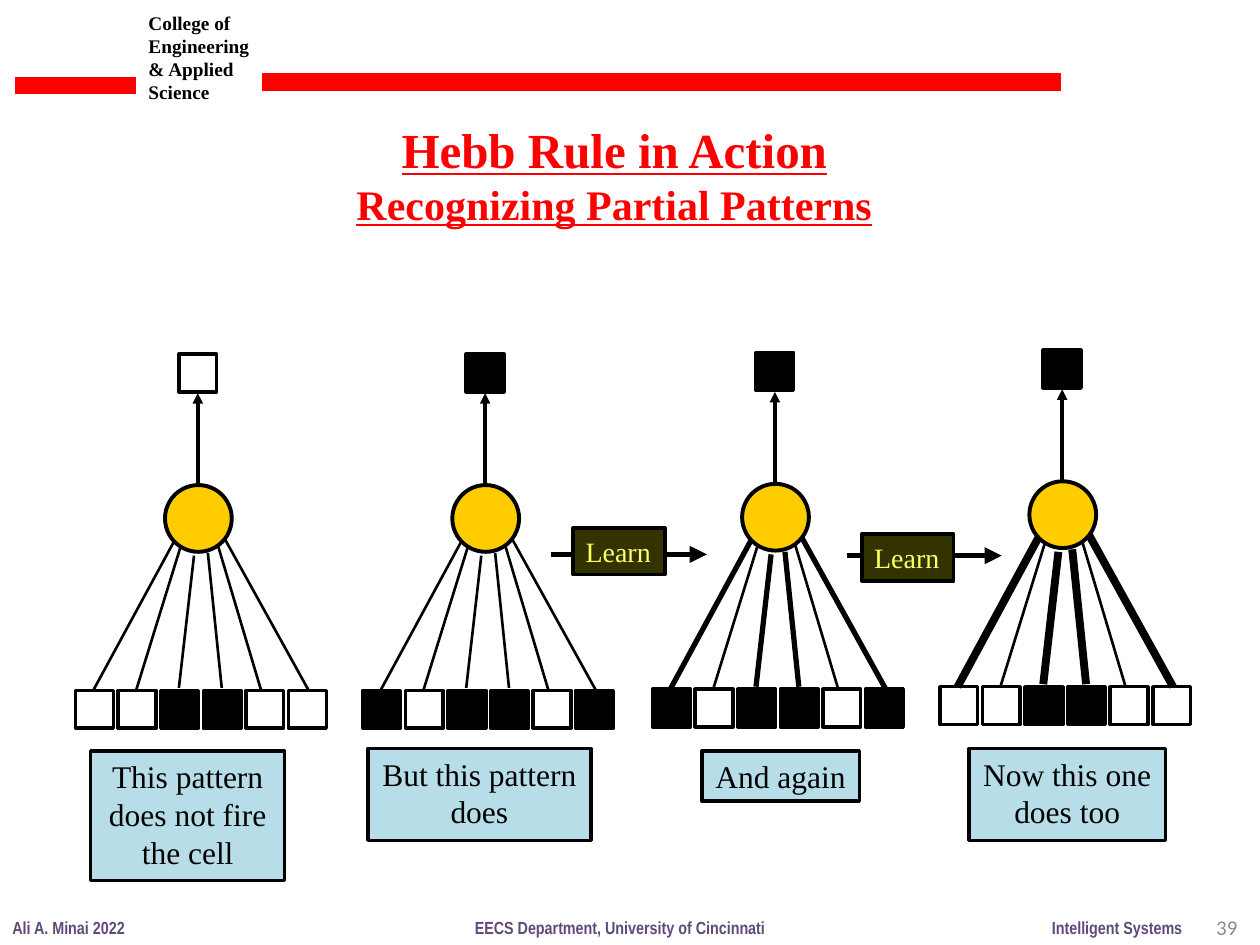
from lxml import etree
from pptx import Presentation
from pptx.dml.color import RGBColor
from pptx.enum.shapes import MSO_CONNECTOR, MSO_SHAPE
from pptx.enum.text import MSO_ANCHOR, PP_ALIGN
from pptx.oxml.ns import qn
from pptx.util import Pt

RECT, OVAL = MSO_SHAPE.RECTANGLE, MSO_SHAPE.OVAL
STRAIGHT = MSO_CONNECTOR.STRAIGHT
LEFT, CENTER, RIGHT = PP_ALIGN.LEFT, PP_ALIGN.CENTER, PP_ALIGN.RIGHT
TOP, MIDDLE = MSO_ANCHOR.TOP, MSO_ANCHOR.MIDDLE

PX = 9144  # 100 px to the inch
SERIF, NARROW, SANS = "Times New Roman", "Arial Narrow", "Calibri"
BLACK, RED, PURPLE, GREY = "000000", "FF0000", "604A7B", "8C8C8C"
GOLD, OLIVE, YELLOW, SKY = "FFCC00", "333300", "FFFF66", "B7DEE8"

# Content
COLLEGE = ["College of Engineering & Applied", "Science"]
TITLE = [("Hebb Rule in Action", 28), ("Recognizing Partial Patterns", 24)]
RED_BARS = [(12, 108, 68), (208, 842, 65)]  # left, right, y
FOOTERS = [
    ("Ali A. Minai 2022", 0, 110),
    ("EECS Department, University of Cincinnati", 367, 252),
    ("Intelligent Systems", 825, 124),
]
PAGE_NUMBER = "39"
# cell left and top, active inputs, cell fires, strengthened inputs and their width
NEURONS = [
    (131, 385, "001100", False, "000000", 1.5),
    (359, 385, "101101", True, "000000", 1.5),
    (589, 384, "101101", True, "101101", 3),
    (817, 382, "001100", True, "101101", 4.5),
]
CAPTIONS = [
    (["This pattern", "does not fire", "the cell"], 72, 596, 154, 103),
    (["But this pattern", "does"], 292, 594, 177, 73),
    (["And again"], 557, 596, 125, 40),
    (["Now this one", "does too"], 769, 594, 156, 73),
]
# arrow left, right and y, then label left and top
LEARNING = [(437, 561, 440, 455, 419), (672, 795, 441, 684, 424)]

# Neuron geometry, measured from the cell's corner
CELL, SQUARE = 53, 30
INPUT_LEFT, INPUT_STEP, INPUT_TOP = -71, 33.8, 163
OUTPUT_LEFT, OUTPUT_TOP = 11, -104
SYNAPSES = [  # input end, cell end
    ((-57, 163), (7, 45)), ((-23, 163), (12, 50)), ((11, 161), (23, 56)),
    ((45, 161), (34, 54)), ((76, 162), (42, 48)), ((114, 163), (47, 42)),
]


def color(value):
    return RGBColor.from_string(value)


def emu(*lengths):
    return [round(length * PX) for length in lengths]


def write(box, lines, size, font, ink, bold=False, align=LEFT, anchor=TOP, wrap=False):
    frame = box.text_frame
    frame.text = "\n".join(lines)
    frame.word_wrap = wrap
    frame.vertical_anchor = anchor
    for para in frame.paragraphs:
        para.alignment = align
        for span in para.runs:
            span.font.size = Pt(size)
            span.font.name = font
            span.font.bold = bold
            span.font.color.rgb = color(ink)


def add_text(page, place, lines, *style, **options):
    box = page.shapes.add_textbox(*emu(*place))
    write(box, lines, *style, **options)
    return box


def add_box(page, kind, place, fill, width=2):
    box = page.shapes.add_shape(kind, *emu(*place))
    box.shadow.inherit = False
    if fill:
        box.fill.solid()
        box.fill.fore_color.rgb = color(fill)
    else:
        box.fill.background()
    box.line.color.rgb = color(BLACK)
    box.line.width = Pt(width)
    return box


def add_line(page, start, end, width, ink=BLACK, arrow=False):
    line = page.shapes.add_connector(STRAIGHT, *emu(*start, *end))
    line.line.color.rgb = color(ink)
    line.line.width = Pt(width)
    if arrow:
        etree.SubElement(line.line._get_or_add_ln(), qn("a:tailEnd"), type="triangle")
    etree.SubElement(line._element.spPr, qn("a:effectLst"))


def add_neuron(page, left, top, inputs, fires, strong, strong_width):
    def at(x, y):
        return left + x, top + y

    for (source, target), strengthened in zip(SYNAPSES, strong):
        width = strong_width if strengthened == "1" else 1.5
        add_line(page, at(*source), at(*target), width)
    add_line(page, at(26, 1), at(26, -73), 2, arrow=True)
    for index, active in enumerate(inputs):
        corner = at(INPUT_LEFT + index * INPUT_STEP, INPUT_TOP)
        add_box(page, RECT, (*corner, SQUARE, SQUARE), BLACK if active == "1" else None)
    corner = at(OUTPUT_LEFT, OUTPUT_TOP)
    add_box(page, RECT, (*corner, SQUARE, SQUARE), BLACK if fires else None)
    add_box(page, OVAL, (left, top, CELL, CELL), GOLD, 2.25)


def main():
    deck = Presentation()
    deck.slide_width, deck.slide_height = emu(1000, 750)
    page = deck.slides.add_slide(deck.slide_layouts[6])

    # Header and footer
    add_text(page, (108, 4, 109, 84), COLLEGE, 11, SERIF, BLACK, bold=True, wrap=True)
    for left, right, y in RED_BARS:
        add_line(page, (left, y), (right, y), 10, RED)
    for label, left, width in FOOTERS:
        add_text(page, (left, 723, width, 27), [label], 10, NARROW, PURPLE, bold=True)
    add_text(page, (759, 716, 233, 40), [PAGE_NUMBER], 12, SANS, GREY,
             align=RIGHT, anchor=MIDDLE, wrap=True)

    # Title
    title = add_text(page, (273, 90, 429, 97), [text for text, _ in TITLE],
                     28, SERIF, RED, bold=True, align=CENTER)
    for para, (_, size) in zip(title.text_frame.paragraphs, TITLE):
        para.runs[0].font.size = Pt(size)
        para.runs[0].font.underline = True

    # Neurons and their captions
    for neuron in NEURONS:
        add_neuron(page, *neuron)
    for lines, *place in CAPTIONS:
        box = add_box(page, RECT, place, SKY)
        write(box, lines, 18, SERIF, BLACK, align=CENTER)

    # Learning steps
    for start, end, y, left, top in LEARNING:
        add_line(page, (start, y), (end, y), 3.25, arrow=True)
        box = add_box(page, RECT, (left, top, 73, 37), OLIVE)
        write(box, ["Learn"], 16, SERIF, YELLOW)

    deck.save("out.pptx")


if __name__ == "__main__":
    main()
